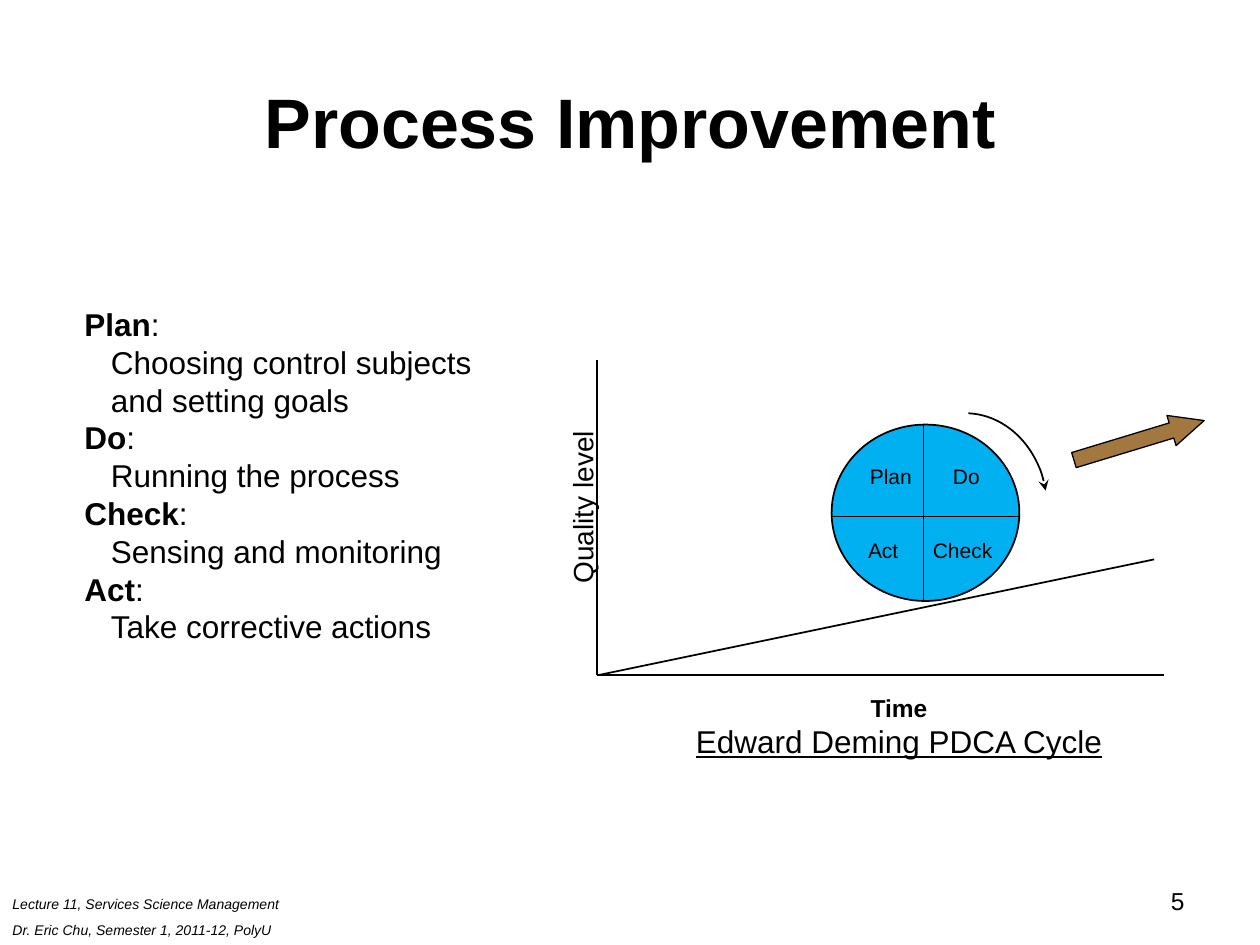
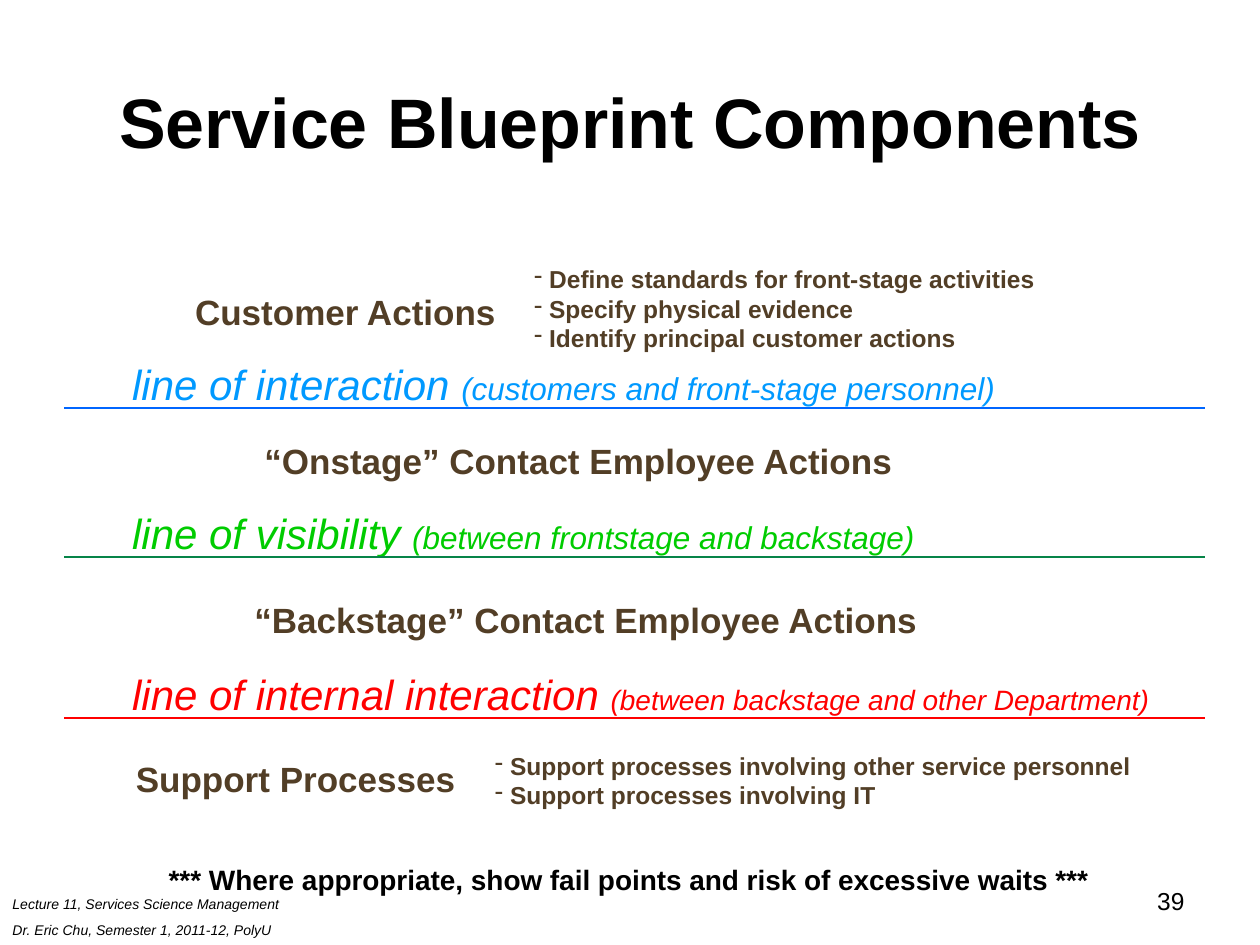
from lxml import etree
from pptx import Presentation
from pptx import util as u
from pptx.dml import color
from pptx.enum import shapes, text
from pptx.oxml import ns

INK, BROWN, SKY, BRONZE = "000000", "523E26", "00B0F0", "A27840"
FONT = "Arial"
TITLE = dict(size=40, bold=True)
FOOTER = dict(size=8, italic=True)
STAGE = dict(size=20, bold=True, color=BROWN)
DETAIL = dict(size=14, bold=True, color=BROWN)
CENTER, RIGHT = text.PP_ALIGN.CENTER, text.PP_ALIGN.RIGHT
MIDDLE = text.MSO_ANCHOR.MIDDLE


def rgb(value):
    """Turn a hex string into a colour."""
    return color.RGBColor.from_string(value)


def add_xml(parent, tag, **attributes):
    """Append a drawing element with the given attributes."""
    return etree.SubElement(parent, ns.qn(tag), attributes)


def place(part, box):
    """Move a part to a box given in inches."""
    for side, length in zip(("left", "top", "width", "height"), box):
        setattr(part, side, u.Inches(length))


def style_font(font, size=14, color=INK, **values):
    """Apply the shared typeface and the given format values."""
    font.color.rgb = rgb(color)
    for name, value in dict(values, name=FONT, size=u.Pt(size)).items():
        setattr(font, name, value)


def write(frame, lines, align=None, anchor=text.MSO_ANCHOR.TOP, gap=0, spacing=None):
    """Fill a frame with lines, each a list of (wording, format) runs."""
    frame.word_wrap = True
    frame.auto_size = text.MSO_AUTO_SIZE.NONE
    frame.vertical_anchor = anchor
    for index, runs in enumerate(lines):
        paragraph = frame.add_paragraph() if index else frame.paragraphs[0]
        paragraph.alignment = align
        paragraph.line_spacing = spacing
        paragraph.space_before = u.Pt(gap if index else 0)
        for wording, values in runs:
            run = paragraph.add_run()
            run.text = wording
            style_font(run.font, **values)


def indent(paragraph, margin, hang=0, bullet=None):
    """Set the indent of a paragraph and its bullet, if any."""
    properties = paragraph._p.get_or_add_pPr()
    properties.set("marL", str(u.Inches(margin)))
    properties.set("indent", str(-u.Inches(hang)))
    if bullet:
        add_xml(properties, "a:buChar", char=bullet)
    else:
        add_xml(properties, "a:buNone")


def add_label(slide, box, lines, **layout):
    """Add a text box holding the given lines."""
    label = slide.shapes.add_textbox(*map(u.Inches, box))
    write(label.text_frame, lines, **layout)
    return label


def add_rule(slide, start, end, ink=INK):
    """Draw a thin straight line between two points."""
    rule = slide.shapes.add_connector(
        shapes.MSO_CONNECTOR.STRAIGHT, *map(u.Inches, (*start, *end)))
    rule.line.color.rgb = rgb(ink)
    rule.line.width = u.Pt(1)
    add_xml(rule._element.spPr, "a:effectLst")


def add_outline(slide, kind, box, fill=None, weight=1):
    """Add a preset shape with a black outline."""
    outline = slide.shapes.add_shape(kind, *map(u.Inches, box))
    outline.shadow.inherit = False
    outline.line.color.rgb = rgb(INK)
    outline.line.width = u.Pt(weight)
    if fill:
        outline.fill.solid()
        outline.fill.fore_color.rgb = rgb(fill)
    else:
        outline.fill.background()
    return outline


def add_page(deck, layout, heading, number):
    """Add a slide with the shared title, footer and page number."""
    slide = deck.slides.add_slide(deck.slide_layouts[layout])
    title = slide.shapes.title
    place(title, (0.5, 0.33, 9, 1.25))
    write(title.text_frame, [[(heading, TITLE)]], CENTER, MIDDLE)
    add_label(slide, (0, 7.06, 2.81, 0.44), [
        [("Lecture 11, Services Science Management", FOOTER)],
        [("Dr. Eric Chu, Semester 1, 2011-12, PolyU", FOOTER)]], gap=5)
    add_label(slide, (7.17, 6.98, 2.33, 0.52), [[(number, {})]], align=RIGHT)
    return slide


def shade_title(slide):
    """Give the title lettering a soft grey shadow."""
    properties = slide.shapes.title.text_frame.paragraphs[0].runs[0].font._element
    effects = etree.Element(ns.qn("a:effectLst"))
    shadow = add_xml(effects, "a:outerShdw", dist="35921", dir="2700000", algn="ctr")
    add_xml(shadow, "a:srgbClr", val="C0C0C0")
    properties.find(ns.qn("a:solidFill")).addnext(effects)


def fill_steps(body, box):
    """List the four steps with their meanings indented below."""
    steps = {
        "Plan": ["Choosing control subjects", "and setting goals"],
        "Do": ["Running the process"],
        "Check": ["Sensing and monitoring"],
        "Act": ["Take corrective actions"],
    }
    lines, margins = [], []
    for step, meanings in steps.items():
        lines.append([(step, dict(size=18, bold=True)), (":", dict(size=18))])
        lines += [[(meaning, dict(size=18))] for meaning in meanings]
        margins += [0] + [0.21] * len(meanings)
    place(body, box)
    write(body.text_frame, lines)
    for paragraph, margin in zip(body.text_frame.paragraphs, margins):
        indent(paragraph, margin)


def draw_wheel(slide, box):
    """Draw the quartered wheel with its turning arrow."""
    left, top, width, height = box
    middle, center = top + 0.73, left + 0.73
    add_outline(slide, shapes.MSO_SHAPE.OVAL, box, SKY)
    add_rule(slide, (left, middle), (left + width, middle))
    add_rule(slide, (center, top), (center, top + height))
    quarters = [("Plan", 0.47, 0.41), ("Do", 1.07, 0.41),
                ("Act", 0.41, 1.0), ("Check", 1.04, 1.0)]
    for step, across, down in quarters:
        add_label(slide, (left + across - 0.4, top + down - 0.15, 0.8, 0.3),
                  [[(step, dict(size=12))]], align=CENTER, anchor=MIDDLE)
    turn = add_outline(slide, shapes.MSO_SHAPE.ARC, (left + 0.41, top - 0.09, 1.3, 1.5))
    for index, degrees in enumerate((272, 348)):
        turn.adjustments[index] = degrees * 0.6
    add_xml(turn.line._get_or_add_ln(), "a:tailEnd", type="stealth")


def draw_cycle(slide, box):
    """Draw quality against time with the wheel climbing the slope."""
    left, top, width, height = box
    base = top + height
    origin = (left, base)
    for end in ((left, top), (left + width, base), (left + 4.42, base - 0.92)):
        add_rule(slide, origin, end)
    draw_wheel(slide, (left + 1.86, top + 0.51, 1.49, 1.4))
    quality = add_label(slide, (left - 0.92, top + 0.98, 1.6, 0.37),
                        [[("Quality level", dict(size=16))]], align=CENTER, anchor=MIDDLE)
    quality.rotation = 270
    climb = add_outline(slide, shapes.MSO_SHAPE.RIGHT_ARROW,
                        (left + 3.76, top + 0.51, 1.08, 0.25), BRONZE, 0.75)
    climb.adjustments[1] = 1.083
    climb.rotation = 343.1
    add_label(slide, (left + 0.58, base + 0.09, 3.63, 0.64), [
        [("Time", dict(bold=True))],
        [("Edward Deming PDCA Cycle", dict(size=18, underline=True))]], align=CENTER)


def add_boundary(slide, box, name, between, ink, rule_ink, small=18):
    """Draw a dividing line with its name standing on it."""
    left, top, width, height = box
    base = top + height
    add_label(slide, (left + 0.44, top, width - 0.44, height + 0.06), [
        [(name + " ", dict(size=24, italic=True, color=ink)),
         (between, dict(size=small, italic=True, color=ink))]])
    add_rule(slide, (left, base), (left + width, base), rule_ink)


def add_details(slide, box, details):
    """List details with dashes as bullets."""
    label = add_label(slide, box, [[(detail, DETAIL)] for detail in details])
    for paragraph in label.text_frame.paragraphs:
        indent(paragraph, 0.12, 0.12, "-")


def draw_blueprint(slide, box):
    """Set out the stages, the lines between them and their details."""
    left, top, width, height = box
    stages = [("Customer Actions", 0.94, 0.21),
              ("“Onstage” Contact Employee Actions", 1.49, 1.39),
              ("“Backstage” Contact Employee Actions", 1.41, 2.65),
              ("Support Processes", 0.47, 3.91)]
    for stage, across, down in stages:
        add_label(slide, (left + across, top + down, 6, 0.43), [[(stage, STAGE)]])
    boundaries = [
        (0.75, "line of interaction", "(customers and front-stage personnel)",
         "0099FF", "0066FF"),
        (1.93, "line of visibility", "(between frontstage and backstage)",
         "00CC00", "068448"),
        (3.21, "line of internal interaction",
         "(between backstage and other Department)", "FF0000", "FF0000", 16)]
    for down, *boundary in boundaries:
        add_boundary(slide, (left, top + down, width, 0.44), *boundary)
    add_details(slide, (left + 3.63, top, 5, 1.04), [
        "Define standards for front-stage activities",
        "Specify physical evidence",
        "Identify principal customer actions"])
    add_details(slide, (left + 3.32, top + 3.86, 5.6, 0.8), [
        "Support processes involving other service personnel",
        "Support processes involving IT"])
    add_label(slide, (left + 0.73, top + height - 0.34, 7.8, 0.34), [
        [("*** Where appropriate, show fail points and risk of excessive waits ***",
          dict(size=16, bold=True))]], spacing=0.9)


def main():
    """Build both slides and save them."""
    deck = Presentation()
    deck.slide_width, deck.slide_height = u.Inches(10), u.Inches(7.5)
    improvement = add_page(deck, 1, "Process Improvement", "5")
    shade_title(improvement)
    fill_steps(improvement.placeholders[1], (0.57, 2.37, 3.5, 2.8))
    draw_cycle(improvement, (4.74, 2.86, 4.5, 2.5))
    blueprint = add_page(deck, 5, "Service Blueprint Components", "39")
    draw_blueprint(blueprint, (0.51, 2.05, 9.05, 5.12))
    deck.save("out.pptx")


if __name__ == "__main__":
    main()
